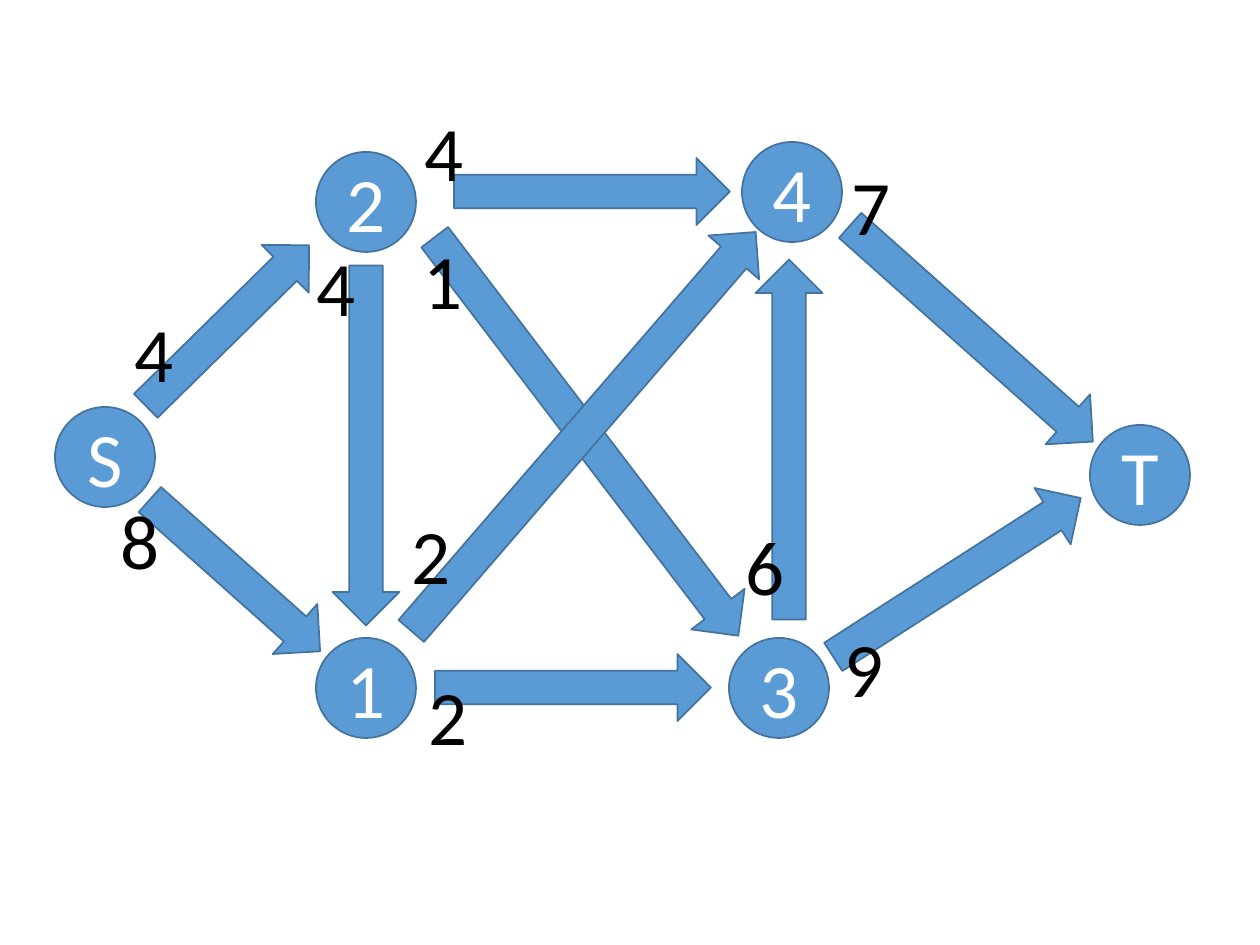
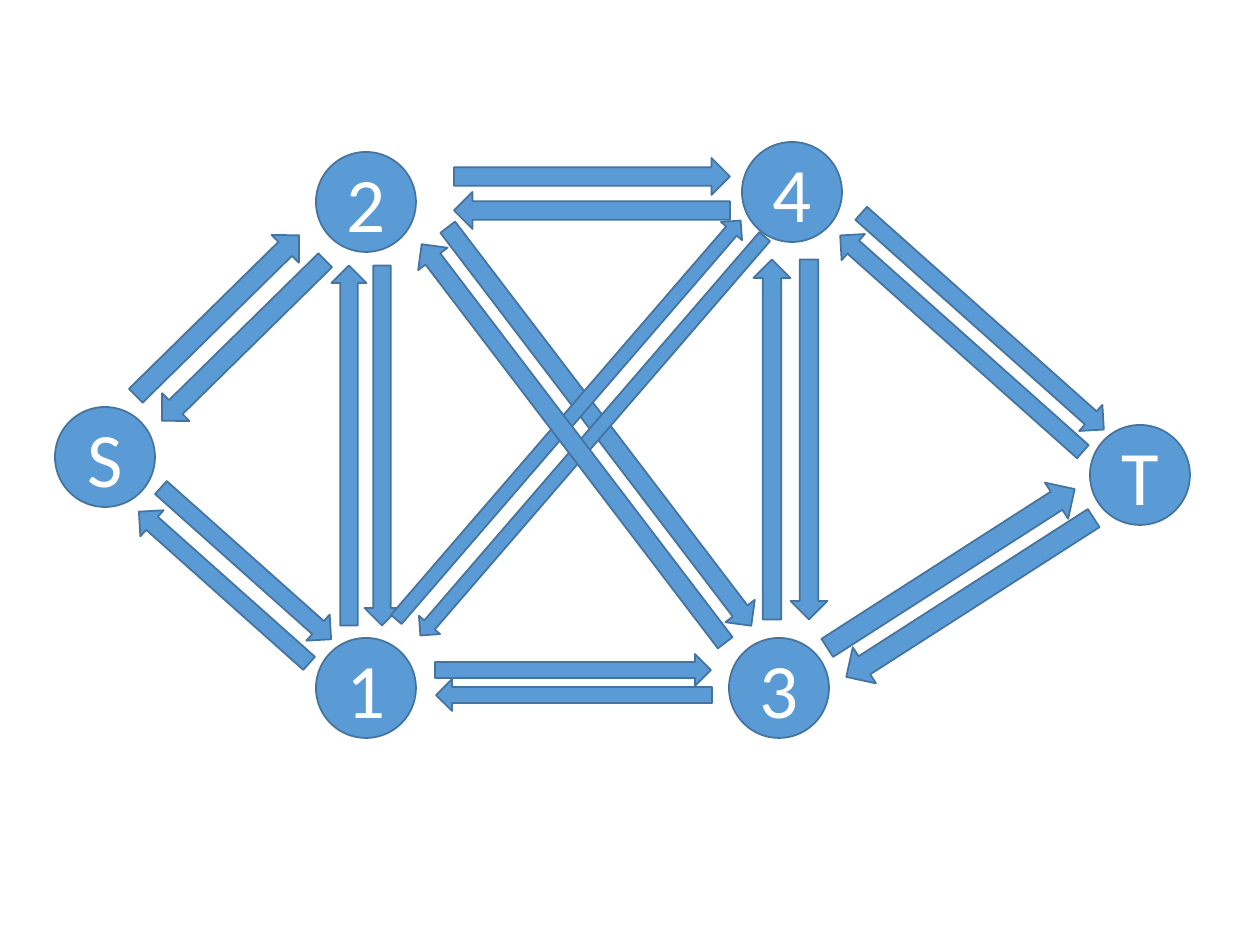
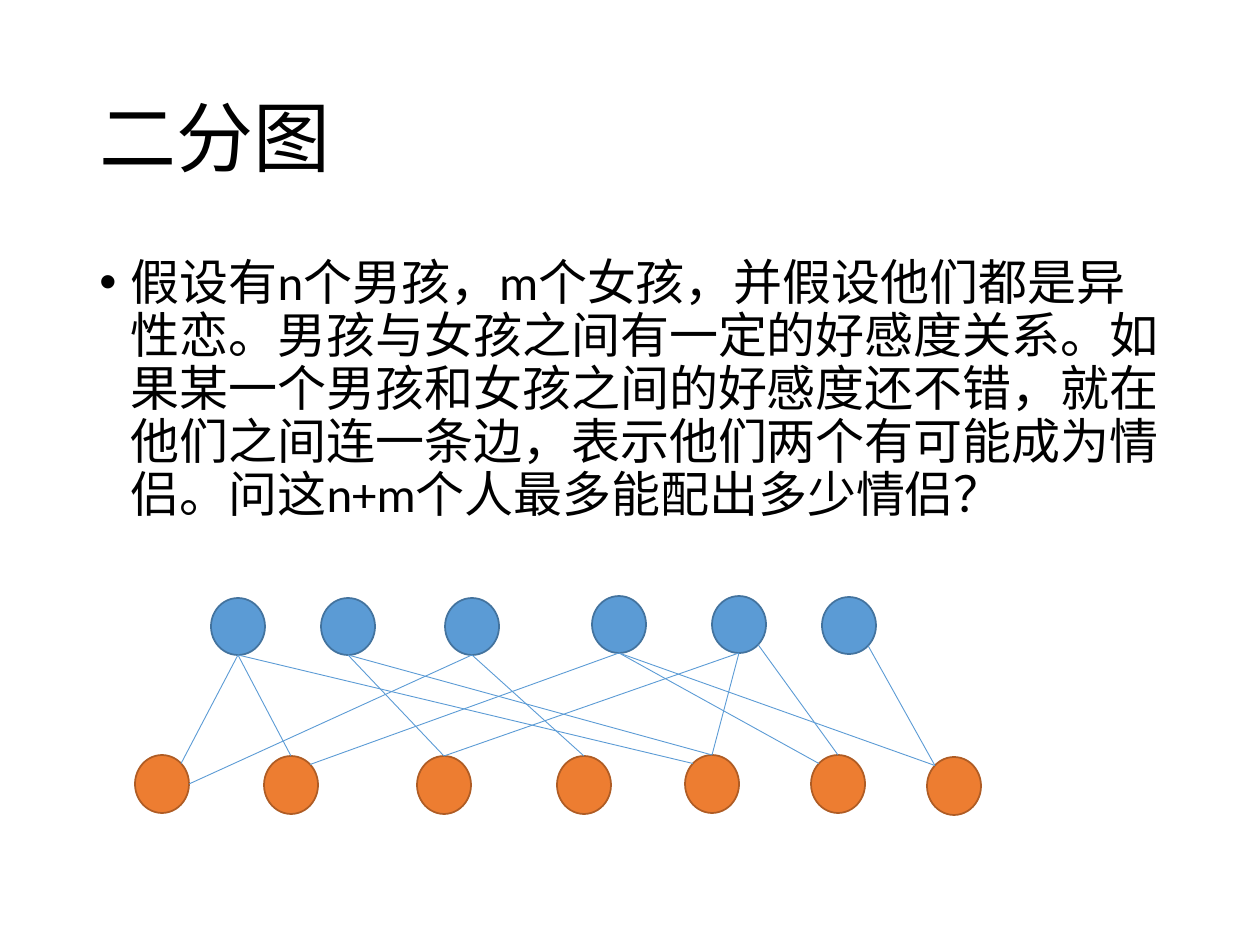
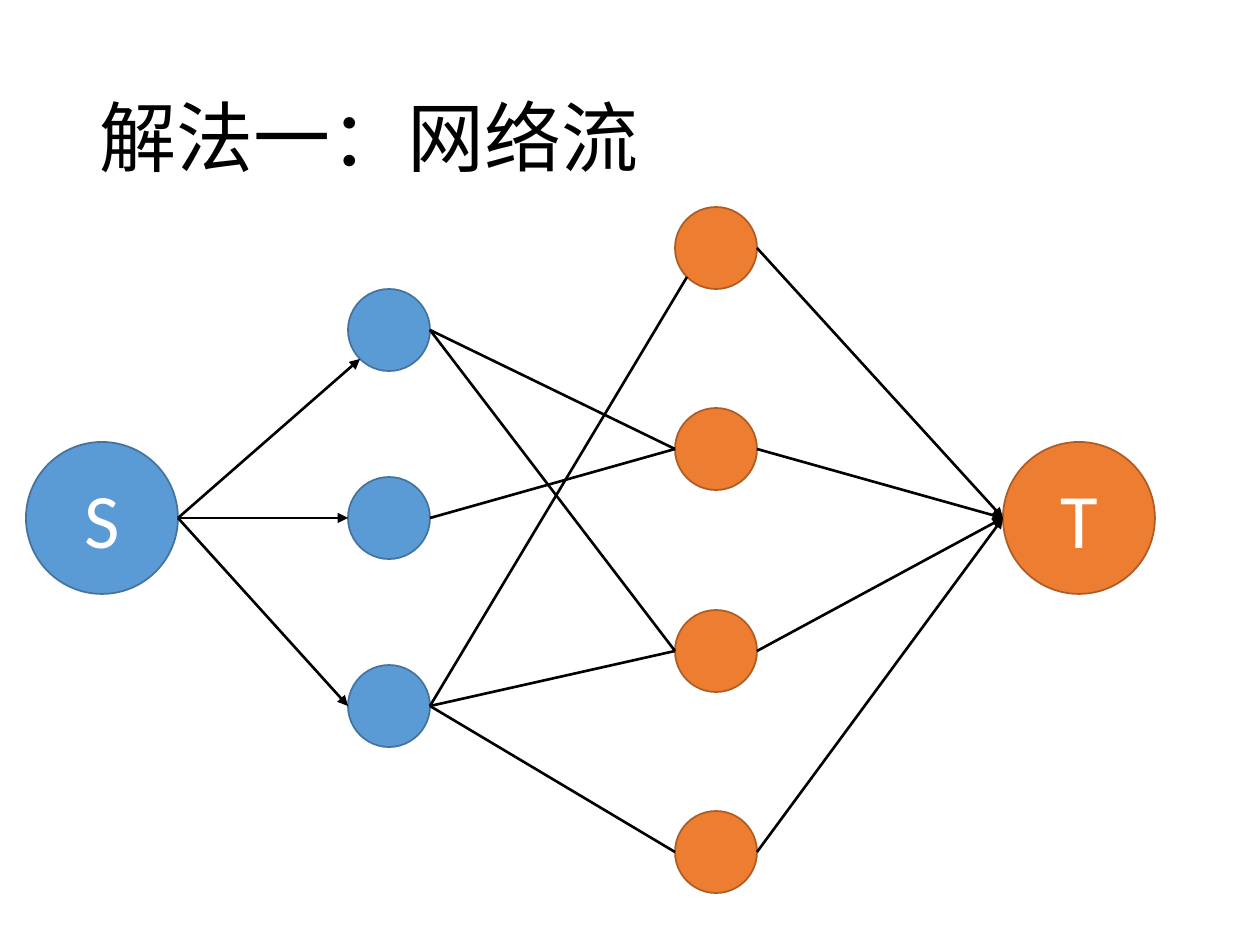
import math

from lxml import etree
from pptx import Presentation
from pptx.dml.color import RGBColor
from pptx.enum.lang import MSO_LANGUAGE_ID
from pptx.enum.shapes import MSO_CONNECTOR, MSO_SHAPE
from pptx.enum.text import MSO_ANCHOR, PP_ALIGN
from pptx.oxml.ns import qn
from pptx.util import Emu, Pt

OVAL, ARROW = MSO_SHAPE.OVAL, MSO_SHAPE.RIGHT_ARROW
STRAIGHT = MSO_CONNECTOR.STRAIGHT
TOP, MIDDLE = MSO_ANCHOR.TOP, MSO_ANCHOR.MIDDLE
LEFT, CENTER = PP_ALIGN.LEFT, PP_ALIGN.CENTER
CHINESE = MSO_LANGUAGE_ID.SIMPLIFIED_CHINESE

FONT = "Calibri"
BLACK, WHITE = "000000", "FFFFFF"
BLUE, ORANGE = ("5B9BD5", "43739E"), ("ED7D31", "AF5C24")
N, NW, W, SW, S, SE, E, NE = range(8)


def px(n):
    return Emu(round(n * 914400 / 126))


def rgb(value):
    return RGBColor.from_string(value)


class Deck:
    """Holds the shared style and the slide being drawn."""

    def __init__(self):
        self.prs = Presentation()
        self.prs.slide_width, self.prs.slide_height = px(1260), px(945)

    def new_slide(self):
        self.s = self.prs.slides.add_slide(self.prs.slide_layouts[6])

    def fill_text(self, tf, text, size, color, align=LEFT, anchor=TOP):
        tf.vertical_anchor = anchor
        p = tf.paragraphs[0]
        p.alignment = align
        r = p.add_run()
        r.text = text
        r.font.name, r.font.size = FONT, Pt(size)
        r.font.color.rgb = rgb(color)
        r.font.language_id = CHINESE
        return p

    def text(self, x, y, w, h, text, size=44, anchor=TOP):
        sp = self.s.shapes.add_textbox(px(x), px(y), px(w), px(h))
        sp.text_frame.word_wrap = True
        return self.fill_text(sp.text_frame, text, size, BLACK, anchor=anchor)

    def title(self, text):
        p = self.text(87, 50, 1086, 183, text, anchor=MIDDLE)
        p.line_spacing = 0.9

    def bullet(self, x, y, w, h, text):
        p = self.text(x, y, w, h, text, size=28)
        p.line_spacing, p.space_before = 0.9, Pt(10)
        pPr = p._p.get_or_add_pPr()
        pPr.set("marL", "228600")
        pPr.set("indent", "-228600")
        etree.SubElement(pPr, qn("a:buFont")).set("typeface", "Arial")
        etree.SubElement(pPr, qn("a:buChar")).set("char", "•")

    def shape(self, kind, x, y, w, h, colors):
        sp = self.s.shapes.add_shape(kind, px(x), px(y), px(w), px(h))
        sp.shadow.inherit = False
        sp.fill.solid()
        sp.fill.fore_color.rgb = rgb(colors[0])
        sp.line.color.rgb = rgb(colors[1])
        sp.line.width = Pt(1)
        return sp

    def node(self, x, y, w, h, colors=BLUE, text=""):
        sp = self.shape(OVAL, x, y, w, h, colors)
        if text:
            self.fill_text(sp.text_frame, text, 44, WHITE, CENTER, MIDDLE)
        return sp

    def arrow(self, x, y, length, thickness, angle):
        sp = self.shape(ARROW, x, y, length, thickness, BLUE)
        sp.rotation = angle % 360

    def site(self, sp, index):
        angle = math.radians(90 + 45 * index)
        return (Emu(round(sp.left + sp.width / 2 * (1 + math.cos(angle)))),
                Emu(round(sp.top + sp.height / 2 * (1 - math.sin(angle)))))

    def link(self, a, a_site, b, b_site, color=BLACK, width=1.5, head=False):
        c = self.s.shapes.add_connector(
            STRAIGHT, *self.site(a, a_site), *self.site(b, b_site))
        c.line.color.rgb = rgb(color)
        c.line.width = Pt(width)
        spPr = c._element.spPr
        if head:
            ln = spPr.get_or_add_ln()
            etree.SubElement(ln, qn("a:tailEnd")).set("type", "triangle")
        etree.SubElement(spPr, qn("a:effectLst"))

    def network(self):
        for text, x, y in NETWORK:
            self.node(x, y, 100, 100, text=text)


NETWORK = [("S", 55, 407), ("2", 316, 152), ("1", 316, 638),
           ("3", 729, 638), ("4", 742, 142), ("T", 1090, 425)]

EDGES = [
    (229, 315.5, (113, 292), 39, (103, 296), (129, 321)),
    (276, 0, (454, 158), 37, (454, 158), (454, 192)),
    (276, 0, (435, 654), 32, (435, 654), (436, 679)),
    (360, 90, (186, 412), 35, (202, 428), (169, 428)),
    (228, 41.7, (121, 542), 35, (132, 546), (110, 570)),
    (325, 41.7, (809, 300), 35, (820, 304), (799, 326)),
    (360, 270, (609, 406), 37, (592, 421), (629, 421)),
    (294, 327.3, (810, 544), 43, (804, 547), (823, 576)),
    (501, 52.7, (336, 403), 37, (349, 408), (323, 425)),
    (527, 310.8, (320, 398), 28, (305, 406), (329, 422)),
]

CAPACITIES = [("4", 122, 299, 64), ("8", 108, 486, 64), ("4", 304, 233, 64),
              ("1", 411, 226, 73), ("2", 399, 501, 73), ("2", 416, 662, 73),
              ("4", 412, 98, 64), ("6", 733, 512, 64), ("9", 832, 614, 64),
              ("7", 839, 152, 64)]

deck = Deck()

deck.new_slide()
deck.network()
for length, angle, single, _, _, _ in EDGES:
    deck.arrow(*single, length, 67, angle)
for text, x, y, w in CAPACITIES:
    deck.text(x, y, w, 106, text)

deck.new_slide()
deck.network()
for length, angle, _, thickness, forward, _ in EDGES:
    deck.arrow(*forward, length, thickness, angle)
for length, angle, _, thickness, _, backward in reversed(EDGES):
    deck.arrow(*backward, length, thickness, angle + 180)

deck.new_slide()
deck.title("二分图")
deck.bullet(87, 252, 1086, 297,
            "假设有n个男孩，m个女孩，并假设他们都是异性恋。"
            "男孩与女孩之间有一定的好感度关系。"
            "如果某一个男孩和女孩之间的好感度还不错，就在他们之间连一条边，"
            "表示他们两个有可能成为情侣。问这n+m个人最多能配出多少情侣？")
boys = [deck.node(x, y, 54, 57) for x, y in
        [(211, 598), (321, 598), (445, 598), (592, 596), (712, 596), (822, 597)]]
girls = [deck.node(x, y, 54, 58, ORANGE) for x, y in
         [(135, 755), (264, 756), (417, 756), (557, 756), (685, 755),
          (811, 755), (927, 757)]]
for girl, girl_site, boy, boy_site in [
        (0, NE, 0, S), (1, N, 0, S), (4, NW, 0, S), (0, E, 2, S),
        (1, NE, 3, S), (2, N, 1, S), (2, N, 4, S), (3, N, 2, S),
        (4, N, 1, S), (5, NW, 3, S), (5, N, 4, SE), (6, NW, 3, S),
        (6, NW, 5, SE), (4, N, 4, S)]:
    deck.link(girls[girl], girl_site, boys[boy], boy_site, BLUE[0], 0.5)

deck.new_slide()
deck.title("解法一：网络流")
boys = [deck.node(348, 289 + 188 * i, 82, 82) for i in range(3)]
girls = [deck.node(675, y, 82, 82, ORANGE) for y in (207, 408, 610, 811)]
for boy, girl, girl_site in [(0, 1, W), (0, 2, W), (1, 1, W),
                             (2, 0, SW), (2, 2, W), (2, 3, W)]:
    deck.link(boys[boy], E, girls[girl], girl_site)
source = deck.node(26, 442, 152, 152, BLUE, "S")
sink = deck.node(1003, 442, 152, 152, ORANGE, "T")
for boy, boy_site in zip(boys, (SW, W, W)):
    deck.link(source, E, boy, boy_site, head=True)
for girl in girls:
    deck.link(girl, E, sink, W, head=True)

deck.prs.save("out.pptx")
